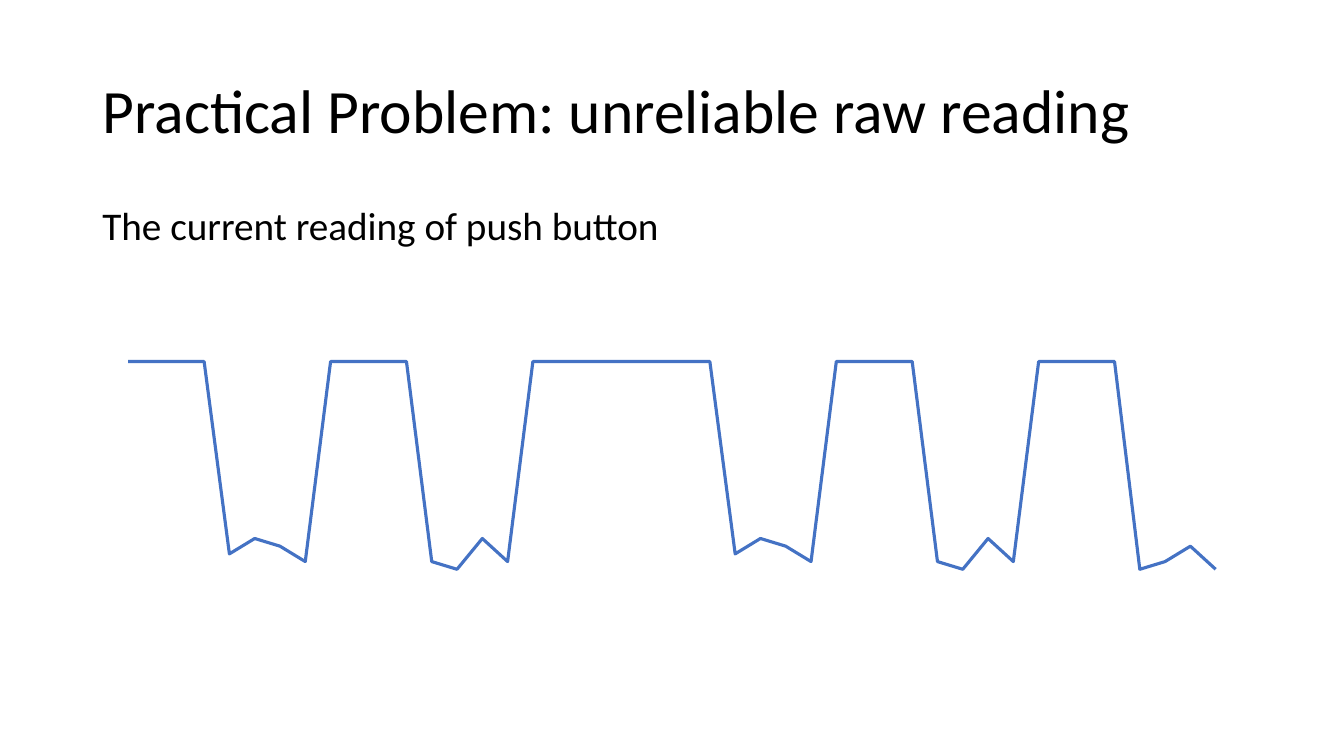
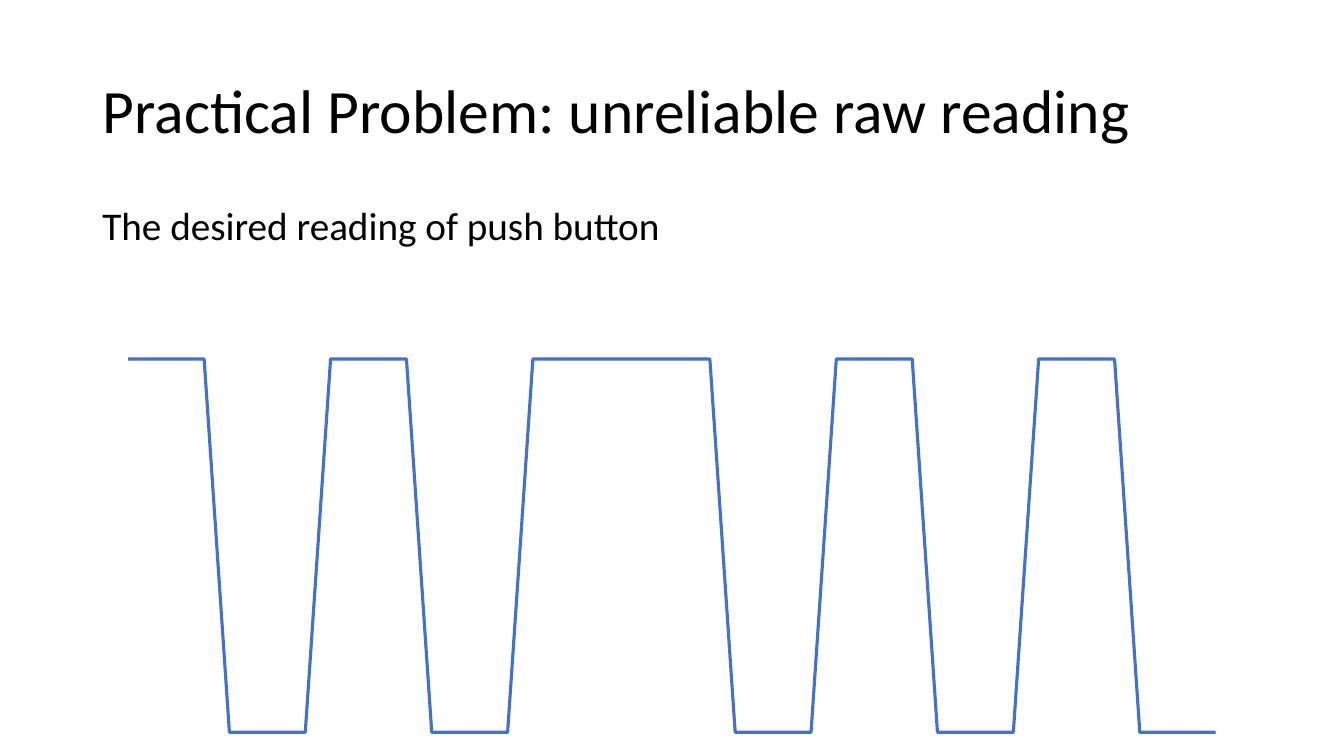
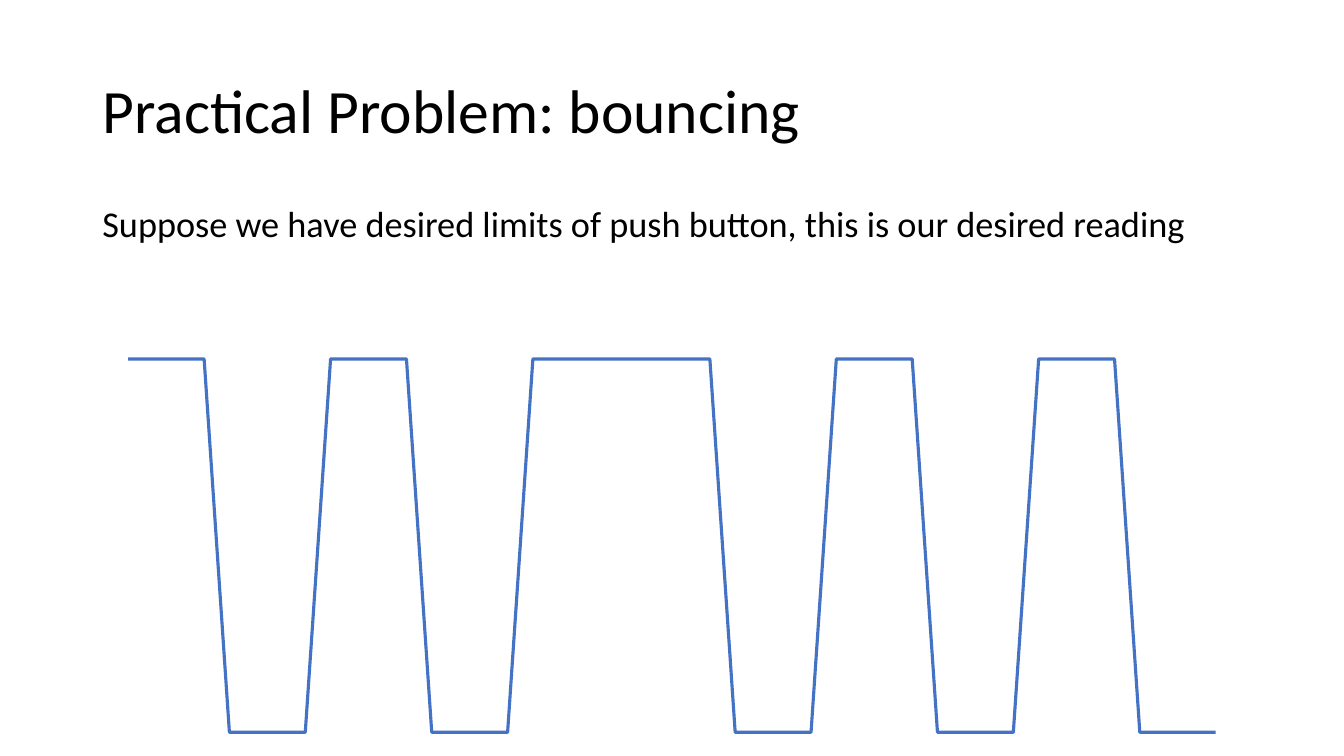
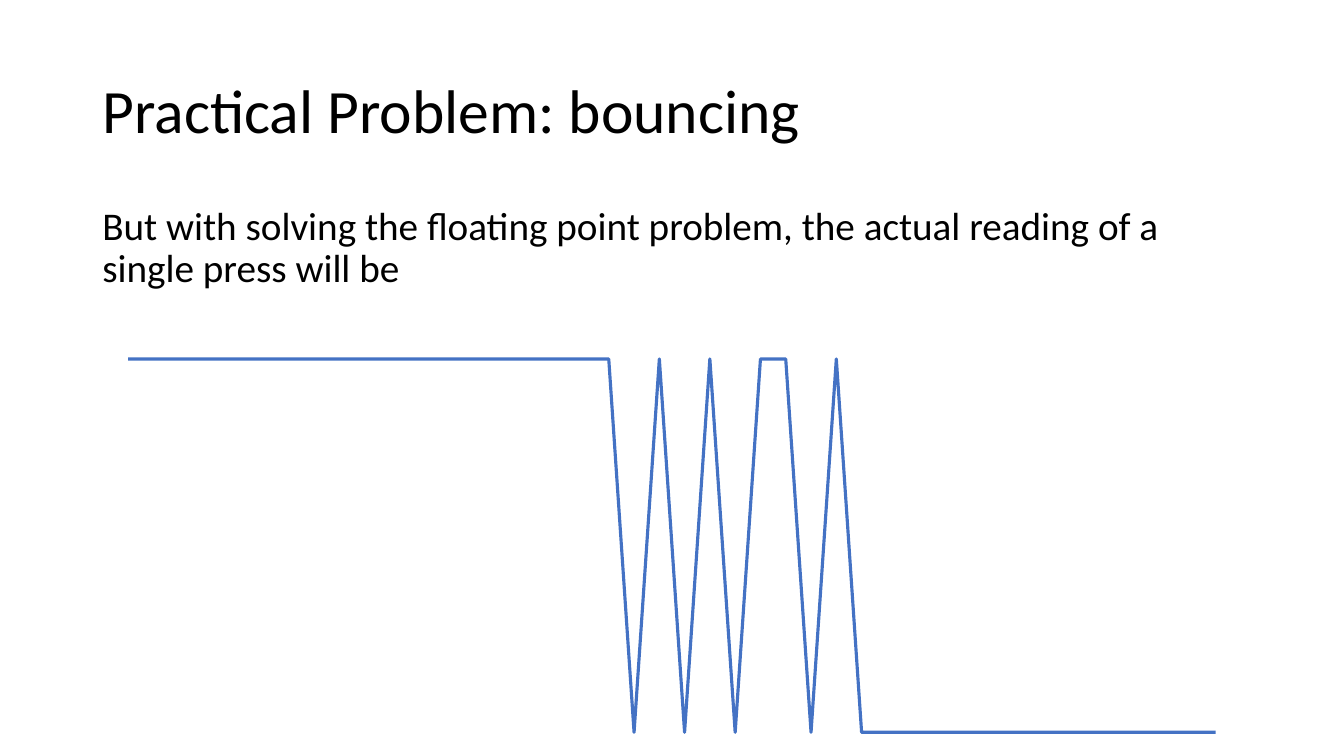
from pptx import Presentation
from pptx.chart.data import CategoryChartData
from pptx.dml.color import RGBColor
from pptx.enum.chart import XL_CHART_TYPE, XL_MARKER_STYLE
from pptx.enum.text import MSO_ANCHOR, MSO_AUTO_SIZE, PP_ALIGN
from pptx.util import Cm, Pt

COLORS = {"text": "000000", "signal": "4472C4"}
FONT = "Calibri"
LEFT, WIDTH = 2.33, 29.21  # shared column, in cm

# Signals, in groups of four samples
HIGH, LOW = [100] * 4, [0] * 4


def two_presses(dip_1, dip_2, last):
    """Two equal runs of dips between high levels, then a last dip."""
    return (HIGH + dip_1 + HIGH + dip_2 + HIGH) * 2 + last


RAW = two_presses([50, 54, 52, 48], [48, 46, 54, 48], [46, 48, 52, 46])
DESIRED = two_presses(LOW, LOW, LOW)
BOUNCING = [100] * 20 + [0, 100] * 3 + [100, 0, 100] + [0] * 15


class Deck:
    def __init__(self):
        self.prs = Presentation()
        self.prs.slide_width, self.prs.slide_height = Cm(33.87), Cm(19.05)
        self.s = None

    def style(self, font, size, color="text"):
        font.name, font.size = FONT, Pt(size)
        font.color.rgb = RGBColor.from_string(COLORS[color])

    def set_text(self, sp, text, size, anchor, before=0):
        tf = sp.text_frame
        tf.word_wrap, tf.auto_size = True, MSO_AUTO_SIZE.NONE
        tf.vertical_anchor = anchor
        tf.text = text
        p = tf.paragraphs[0]
        p.alignment, p.line_spacing = PP_ALIGN.LEFT, 0.9
        p.space_before = Pt(before)
        self.style(p.font, size)

    def slide(self, title):
        self.s = self.prs.slides.add_slide(self.prs.slide_layouts[5])
        sp = self.s.shapes.title
        sp.left, sp.top = Cm(LEFT), Cm(1.01)
        sp.width, sp.height = Cm(WIDTH), Cm(3.68)
        self.set_text(sp, title, 44, MSO_ANCHOR.MIDDLE)

    def body(self, text, size=28, width=WIDTH, height=1.5):
        sp = self.s.shapes.add_textbox(Cm(LEFT), Cm(5.07), Cm(width), Cm(height))
        self.set_text(sp, text, size, MSO_ANCHOR.TOP, before=10)

    def signal(self, values, height=11.76):
        data = CategoryChartData()
        data.categories = [str(i) for i in range(1, len(values) + 1)]
        data.add_series("Series 1", values)
        chart = self.s.shapes.add_chart(
            XL_CHART_TYPE.LINE, Cm(LEFT), Cm(6.93), Cm(WIDTH), Cm(height), data).chart
        self.style(chart.font, 10)
        chart.has_legend = chart.has_title = False
        # Hidden axes on a fixed scale
        axis = chart.value_axis
        axis.minimum_scale, axis.maximum_scale = 0, 120
        axis.has_major_gridlines = False
        axis.visible = chart.category_axis.visible = False
        # Plain line without markers
        line = chart.plots[0].series[0]
        line.smooth = False
        line.marker.style = XL_MARKER_STYLE.NONE
        line.format.line.width = Pt(2.25)
        line.format.line.color.rgb = RGBColor.from_string(COLORS["signal"])


def main():
    deck = Deck()

    # Unreliable reading
    unreliable = "Practical Problem: unreliable raw reading"
    deck.slide(unreliable)
    deck.body("The current reading of push button")
    deck.signal(RAW, height=12.12)

    deck.slide(unreliable)
    deck.body("The desired reading of push button")
    deck.signal(DESIRED)

    # Bouncing
    bouncing = "Practical Problem: bouncing"
    deck.slide(bouncing)
    deck.body("Suppose we have desired limits of push button, this is our desired reading",
              size=25.9)
    deck.signal(DESIRED)

    deck.slide(bouncing)
    deck.body("But with solving the floating point problem, the actual reading of a "
              "single press will be", width=29.51, height=2.62)
    deck.signal(BOUNCING)

    deck.prs.save("out.pptx")


if __name__ == "__main__":
    main()
